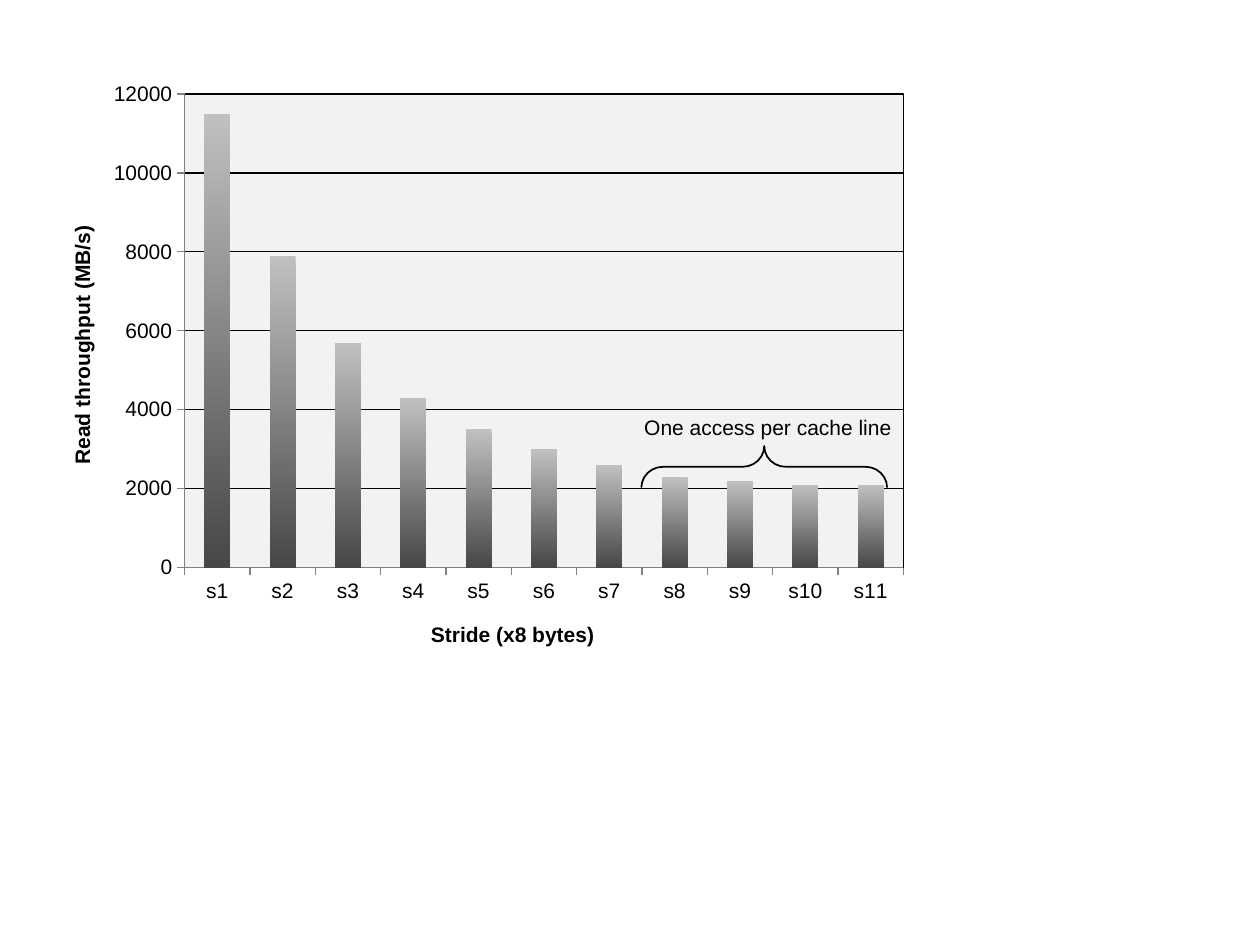
from lxml import etree
from pptx import Presentation
from pptx.chart.data import CategoryChartData
from pptx.dml.color import RGBColor
from pptx.enum.chart import XL_CHART_TYPE, XL_TICK_MARK
from pptx.enum.shapes import MSO_SHAPE
from pptx.enum.text import MSO_ANCHOR, MSO_AUTO_SIZE, PP_ALIGN
from pptx.oxml import parse_xml
from pptx.oxml.ns import nsdecls, qn
from pptx.util import Inches, Pt

COLUMNS = XL_CHART_TYPE.COLUMN_CLUSTERED
TICK_OUT, TICK_NONE = XL_TICK_MARK.OUTSIDE, XL_TICK_MARK.NONE
BRACE = MSO_SHAPE.LEFT_BRACE
CENTER, MIDDLE = PP_ALIGN.CENTER, MSO_ANCHOR.MIDDLE

FONT, SIZE = "Arial", Pt(12)
HEX = {"ink": "000000", "axis": "808080", "plot": "F2F2F2",
       "bar_top": "C0C0C0", "bar_bottom": "474747"}
RGB = {name: RGBColor.from_string(value) for name, value in HEX.items()}
THROUGHPUT = [11500, 7900, 5700, 4300, 3500, 3000, 2600, 2300, 2200, 2100, 2100]


def style_font(font, bold=False):
    font.name, font.size, font.bold = FONT, SIZE, bold
    font.color.rgb = RGB["ink"]


def set_layout(parent, index, target="", **fractions):
    """Place a chart part by hand, in fractions of the chart's size."""
    for old in parent.findall(qn("c:layout")):
        parent.remove(old)
    layout = etree.Element(qn("c:layout"))
    manual = etree.SubElement(layout, qn("c:manualLayout"))
    values = {"layoutTarget": target} if target else {}
    values.update(xMode="edge", yMode="edge", **fractions)
    for tag, value in values.items():
        etree.SubElement(manual, qn(f"c:{tag}")).set("val", str(value))
    parent.insert(index, layout)


prs = Presentation()
prs.slide_width, prs.slide_height = Inches(10), Inches(7.5)
s = prs.slides.add_slide(prs.slide_layouts[6])

# Throughput chart
data = CategoryChartData()
data.categories = [f"s{n}" for n in range(1, len(THROUGHPUT) + 1)]
data.add_series("Series 1", THROUGHPUT)
chart = s.shapes.add_chart(COLUMNS, Inches(0.31), Inches(0.57),
                           Inches(7), Inches(4.76), data).chart
chart.has_legend = chart.has_title = False
style_font(chart.font)

plot = chart.plots[0]
plot.gap_width = 150
plot.vary_by_categories = False
fill = plot.series[0].format.fill
fill.gradient()
fill.gradient_angle = 270
for stop, name in zip(fill.gradient_stops, ("bar_top", "bar_bottom")):
    stop.color.rgb = RGB[name]

axes = [(chart.category_axis, "Stride (x8 bytes)", 0.44, 0.91),
        (chart.value_axis, "Read throughput (MB/s)", 0.03, 0.25)]
for axis, title, x, y in axes:
    axis.major_tick_mark, axis.minor_tick_mark = TICK_OUT, TICK_NONE
    axis.format.line.color.rgb = RGB["axis"]
    axis.format.line.width = Pt(0.75)
    style_font(axis.tick_labels.font)
    tf = axis.axis_title.text_frame
    tf.text = title
    style_font(tf.paragraphs[0].font, bold=True)
    set_layout(axis.axis_title._element, 1, x=x, y=y)

value_axis = chart.value_axis
value_axis.minimum_scale, value_axis.maximum_scale = 0, 12000
value_axis.major_unit = 2000
value_axis.has_major_gridlines = True
grid = value_axis.major_gridlines.format.line
grid.color.rgb, grid.width = RGB["ink"], Pt(0.75)

plot_area = chart._chartSpace.chart.plotArea
set_layout(plot_area, 0, "inner", x=0.165, y=0.037, w=0.815, h=0.79)
plot_area.append(parse_xml(
    f'<c:spPr {nsdecls("c", "a")}>'
    f'<a:solidFill><a:srgbClr val="{HEX["plot"]}"/></a:solidFill>'
    f'<a:ln w="9525"><a:solidFill><a:srgbClr val="{HEX["ink"]}"/></a:solidFill></a:ln>'
    '</c:spPr>'))

# Brace over the last four strides
brace = s.shapes.add_shape(BRACE, Inches(5.9), Inches(2.73), Inches(0.33), Inches(1.95))
brace.rotation = 90
brace.adjustments[0], brace.adjustments[1] = 0.52, 0.5
brace.shadow.inherit = False
brace.fill.background()
brace.line.color.rgb, brace.line.width = RGB["ink"], Pt(1)

# Brace label
tf = s.shapes.add_textbox(Inches(5), Inches(3.24), Inches(2.19), Inches(0.3)).text_frame
tf.word_wrap = False
tf.auto_size = MSO_AUTO_SIZE.SHAPE_TO_FIT_TEXT
tf.vertical_anchor = MIDDLE
p = tf.paragraphs[0]
p.text, p.alignment = "One access per cache line", CENTER
style_font(p.font)

prs.save("out.pptx")
